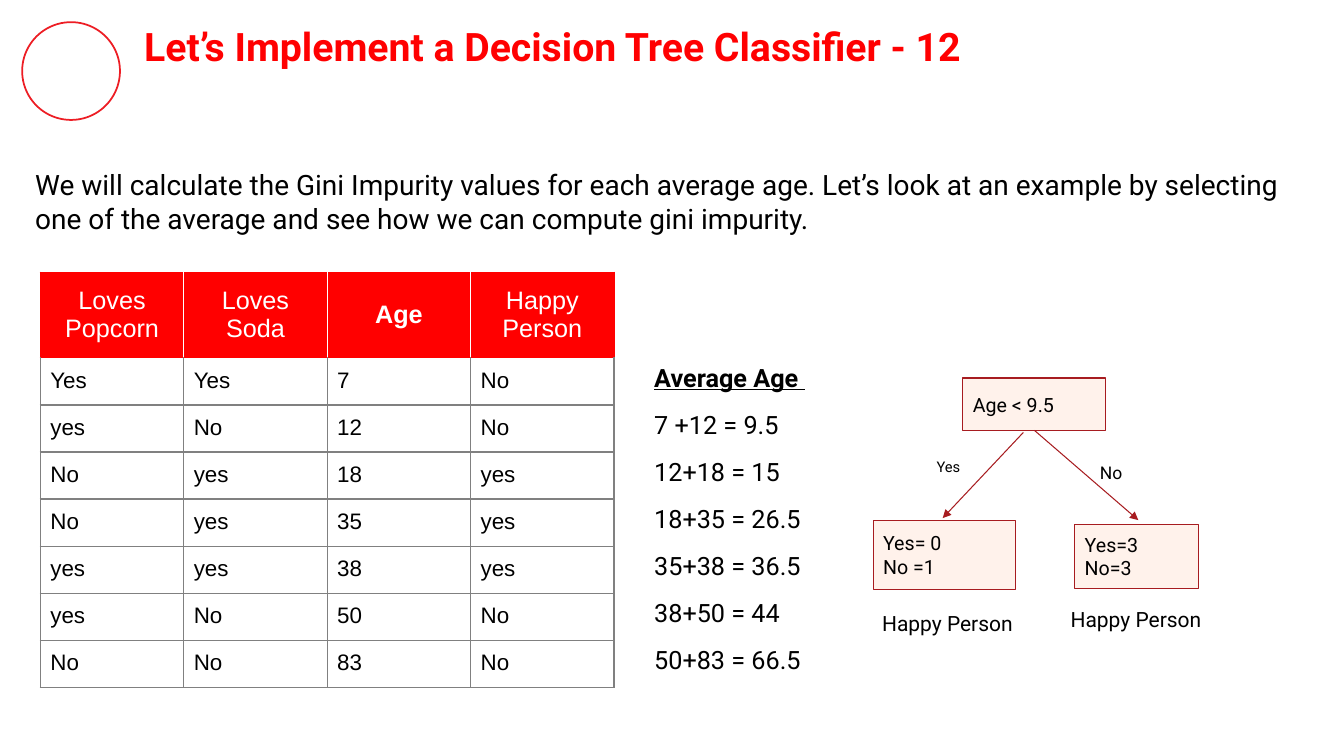
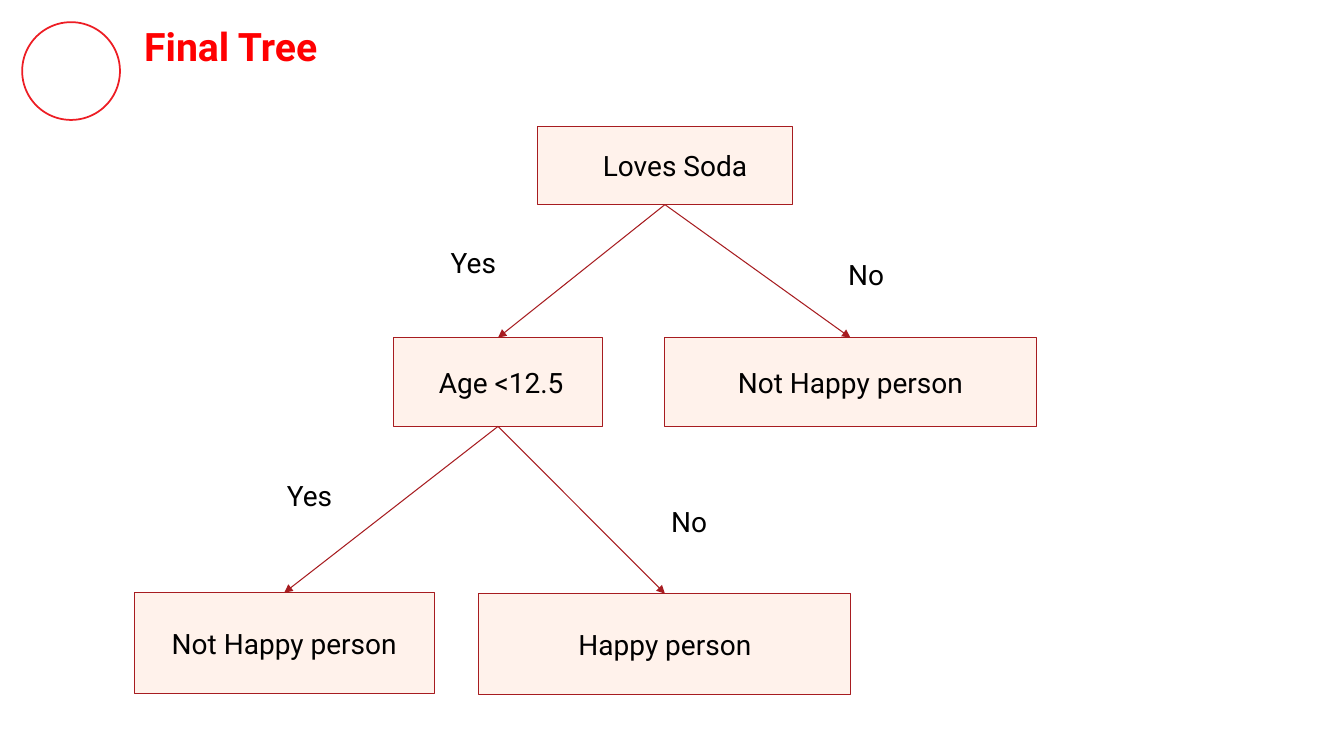
import lxml.etree
import pptx
import pptx.dml.color
import pptx.enum.shapes
import pptx.enum.text
import pptx.oxml.ns
import pptx.util

Inches = pptx.util.Inches
Pt = pptx.util.Pt
RGBColor = pptx.dml.color.RGBColor
Shape = pptx.enum.shapes.MSO_SHAPE
Connector = pptx.enum.shapes.MSO_CONNECTOR
Align = pptx.enum.text.PP_ALIGN
Anchor = pptx.enum.text.MSO_ANCHOR
qn = pptx.oxml.ns.qn

TITLE_RED = RGBColor(0xFF, 0x00, 0x01)
HEADER_RED = RGBColor(0xFF, 0x00, 0x00)
RING_RED = RGBColor(0xED, 0x1D, 0x24)
DARK_RED = RGBColor(0xA7, 0x1C, 0x20)
PEACH = RGBColor(0xFF, 0xF2, 0xEB)
GREY = RGBColor(0x80, 0x80, 0x80)
WHITE = RGBColor(0xFF, 0xFF, 0xFF)
BLACK = RGBColor(0x00, 0x00, 0x00)

FONT = "Roboto"
TABLE_FONT = "Arial"
INSET = 0.1
BOTTOM_SITE, TOP_SITE = 2, 0

PEOPLE = [
    ["Loves Popcorn", "Loves Soda", "Age", "Happy Person"],
    ["Yes", "Yes", "7", "No"],
    ["yes", "No", "12", "No"],
    ["No", "yes", "18", "yes"],
    ["No", "yes", "35", "yes"],
    ["yes", "yes", "38", "yes"],
    ["yes", "No", "50", "No"],
    ["No", "No", "83", "No"],
]
AVERAGES = [
    "Average Age ",
    "7 +12 = 9.5",
    "12+18 = 15",
    "18+35 = 26.5",
    "35+38 = 36.5",
    "38+50 = 44",
    "50+83 = 66.5",
]


def inches(*lengths):
    return [Inches(length) for length in lengths]


def style_font(font, size, color=BLACK, name=FONT, bold=False):
    font.name = name
    font.size = Pt(size)
    font.bold = bold
    font.color.rgb = color


def set_insets(target, left=INSET):
    target.margin_left = Inches(left)
    target.margin_right = target.margin_top = target.margin_bottom = Inches(INSET)


def write(shape, lines, size, align=Align.LEFT, anchor=Anchor.TOP,
          color=BLACK, bold=False, after=0, spacing=1.0, left_inset=INSET):
    frame = shape.text_frame
    frame.text = "\n".join(lines)
    frame.word_wrap = True
    frame.auto_size = pptx.enum.text.MSO_AUTO_SIZE.NONE
    frame.vertical_anchor = anchor
    set_insets(frame, left_inset)
    for paragraph in frame.paragraphs:
        paragraph.alignment = align
        paragraph.space_after = Pt(after)
        paragraph.line_spacing = spacing
        style_font(paragraph.font, size, color, bold=bold)
    return frame


def add_text(slide, box, lines, size, **options):
    return write(slide.shapes.add_textbox(*inches(*box)), lines, size, **options)


def add_node(slide, box, lines, size, align=Align.CENTER, preset=Shape.RECTANGLE, left_inset=INSET):
    node = slide.shapes.add_shape(preset, *inches(*box))
    node.shadow.inherit = False
    node.fill.solid()
    node.fill.fore_color.rgb = PEACH
    node.line.color.rgb = DARK_RED
    node.line.width = Pt(0.75)
    write(node, lines, size, align=align, anchor=Anchor.MIDDLE, left_inset=left_inset)
    return node


def add_arrow(slide, start=(0, 0), end=(0, 0)):
    arrow = slide.shapes.add_connector(Connector.STRAIGHT, *inches(*start, *end))
    arrow.line.color.rgb = DARK_RED
    arrow.line.width = Pt(0.75)
    lxml.etree.SubElement(arrow.line._get_or_add_ln(), qn("a:tailEnd"), type="triangle")
    lxml.etree.SubElement(arrow.element.spPr, qn("a:effectLst"))
    return arrow


def link(slide, parent, child):
    arrow = add_arrow(slide)
    arrow.begin_connect(parent, BOTTOM_SITE)
    arrow.end_connect(child, TOP_SITE)


def set_borders(cell, **colors):
    properties = cell._tc.get_or_add_tcPr()
    for side in ("L", "R", "T", "B"):
        line = lxml.etree.SubElement(properties, qn("a:ln" + side), w=str(Pt(1)))
        fill = lxml.etree.SubElement(line, qn("a:solidFill"))
        lxml.etree.SubElement(fill, qn("a:srgbClr"), val=str(colors[side]))


def format_cell(cell, text, row, column, last_column):
    header = row == 0
    cell.text = text
    set_insets(cell)
    cell.vertical_anchor = Anchor.MIDDLE if header else Anchor.TOP
    paragraph = cell.text_frame.paragraphs[0]
    if header:
        paragraph.alignment = Align.CENTER
        style_font(paragraph.font, 18, WHITE, TABLE_FONT, bold=text == "Age")
        set_borders(cell, T=HEADER_RED, B=HEADER_RED,
                    L=HEADER_RED if column == 0 else WHITE,
                    R=HEADER_RED if column == last_column else WHITE)
    else:
        style_font(paragraph.font, 16, name=TABLE_FONT)
        set_borders(cell, L=GREY, R=GREY, B=GREY, T=HEADER_RED if row == 1 else GREY)
    cell.fill.solid()
    cell.fill.fore_color.rgb = HEADER_RED if header else WHITE


def add_people_table(slide, left, top, width, height, header_height):
    rows, columns = len(PEOPLE), len(PEOPLE[0])
    table = slide.shapes.add_table(rows, columns, *inches(left, top, width, height)).table
    for row, values in enumerate(PEOPLE):
        body_height = (height - header_height) / (rows - 1)
        table.rows[row].height = Inches(body_height if row else header_height)
        for column, text in enumerate(values):
            format_cell(table.cell(row, column), text, row, column, columns - 1)


def add_slide(presentation, title):
    slide = presentation.slides.add_slide(presentation.slide_layouts[5])
    ring = slide.shapes.add_shape(Shape.OVAL, *inches(0.22, 0.22, 0.97, 0.97))
    ring.shadow.inherit = False
    ring.fill.background()
    ring.line.color.rgb = RING_RED
    ring.line.width = Pt(1.25)
    heading = slide.shapes.title
    heading.left, heading.top, heading.width, heading.height = inches(1.33, 0.12, 11.18, 0.67)
    write(heading, [title], 28, color=TITLE_RED, bold=True)
    return slide


def build_gini_slide(presentation):
    slide = add_slide(presentation, "Let’s Implement a Decision Tree Classifier - 12")
    add_text(slide, (0.25, 1.48, 12.84, 1.04), [
        "We will calculate the Gini Impurity values for each average age. "
        "Let’s look at an example by selecting one of the average and see "
        "how we can compute gini impurity."], 20, anchor=Anchor.MIDDLE, after=12)
    add_people_table(slide, 0.4, 2.7, 5.69, 4.12, 0.85)

    averages = add_text(slide, (6.39, 3.49, 1.91, 3.25), AVERAGES, 18, after=12)
    averages.paragraphs[0].font.bold = True
    averages.paragraphs[0].font.underline = True

    add_node(slide, (9.55, 3.75, 1.41, 0.52), ["Age < 9.5"], 14, Align.LEFT, Shape.FLOWCHART_PROCESS)
    add_node(slide, (8.66, 5.16, 1.41, 0.69), ["Yes= 0", "No =1"], 14, Align.LEFT)
    add_node(slide, (10.66, 5.2, 1.23, 0.64), ["Yes=3", "No=3"], 14, Align.LEFT)
    add_arrow(slide, (10.15, 4.29), (9.35, 5.14))
    add_arrow(slide, (10.26, 4.27), (11.29, 5.16))
    add_text(slide, (9.19, 4.46, 0.48, 0.33), ["Yes"], 10.5, spacing=0.9)
    add_text(slide, (10.81, 4.51, 0.53, 0.33), ["No"], 12.5, spacing=0.9)
    add_text(slide, (8.65, 5.96, 1.58, 0.45), ["Happy Person"], 15)
    add_text(slide, (10.52, 5.97, 1.64, 0.44), ["Happy Person"], 15, spacing=0.8)


def build_tree_slide(presentation):
    slide = add_slide(presentation, "Final Tree")
    soda = add_node(slide, (5.33, 1.26, 2.53, 0.77), ["Loves Soda"], 20, left_inset=0.3)
    age = add_node(slide, (3.9, 3.35, 2.08, 0.88), ["Age <12.5"], 20, left_inset=0.16)
    no_soda = add_node(slide, (6.59, 3.35, 3.69, 0.88), ["Not Happy person"], 20)
    younger = add_node(slide, (1.33, 5.88, 2.98, 1), ["Not Happy person"], 20)
    older = add_node(slide, (4.75, 5.89, 3.69, 1), ["Happy person"], 20)
    for parent, child in ((soda, age), (soda, no_soda), (age, younger), (age, older)):
        link(slide, parent, child)
    for left, top, width, answer in (
        (4.1, 2.34, 1.19, "Yes"),
        (8.14, 2.45, 0.9, "No"),
        (2.62, 4.65, 0.9, "Yes"),
        (6.24, 4.91, 1.19, "No"),
    ):
        add_text(slide, (left, top, width, 0.54), [answer], 20, align=Align.CENTER)


def main():
    presentation = pptx.Presentation()
    presentation.slide_width, presentation.slide_height = inches(13.33, 7.5)
    build_gini_slide(presentation)
    build_tree_slide(presentation)
    presentation.save("out.pptx")


if __name__ == "__main__":
    main()
